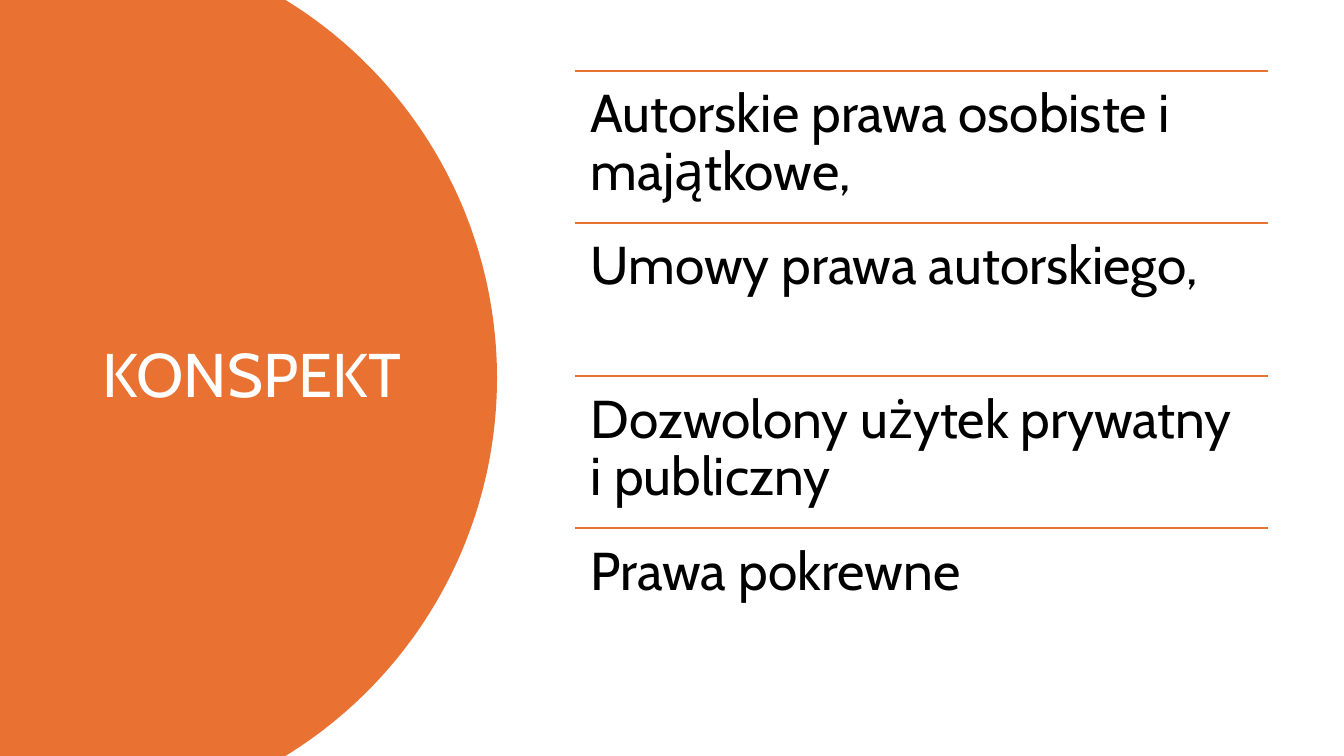
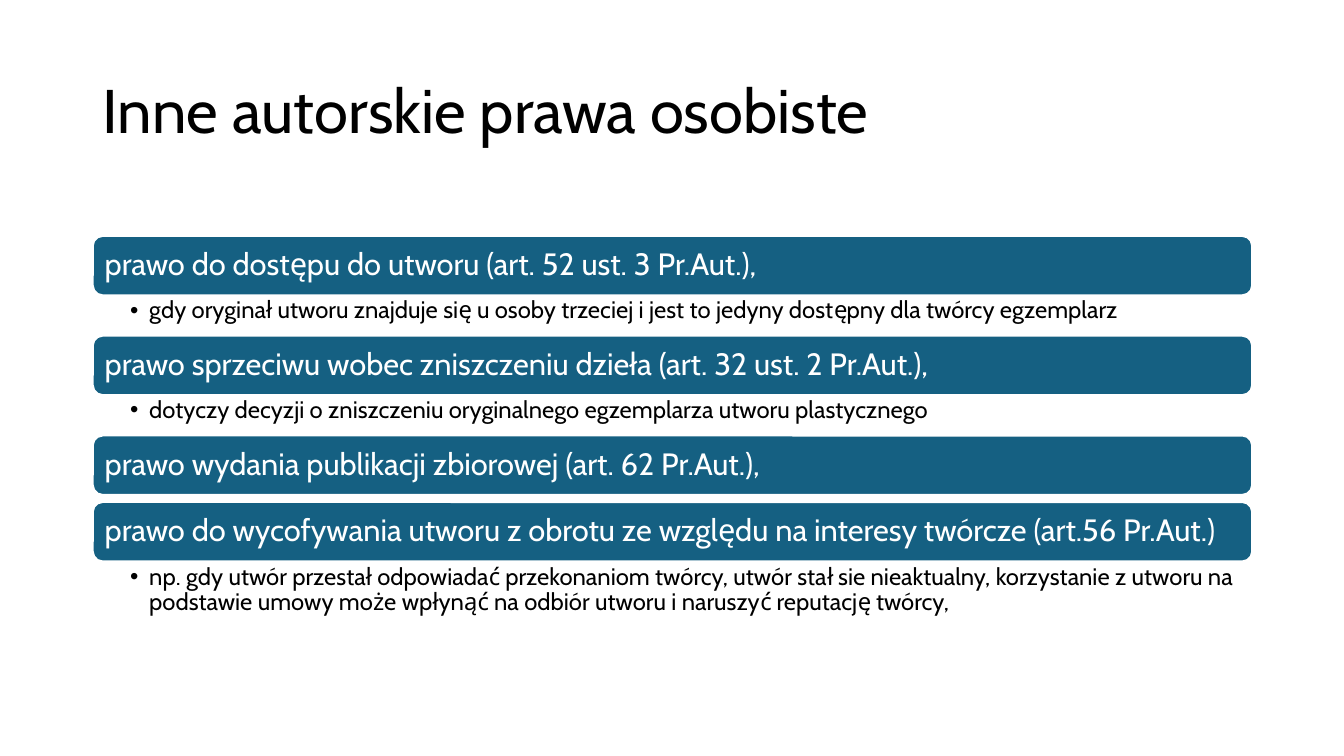
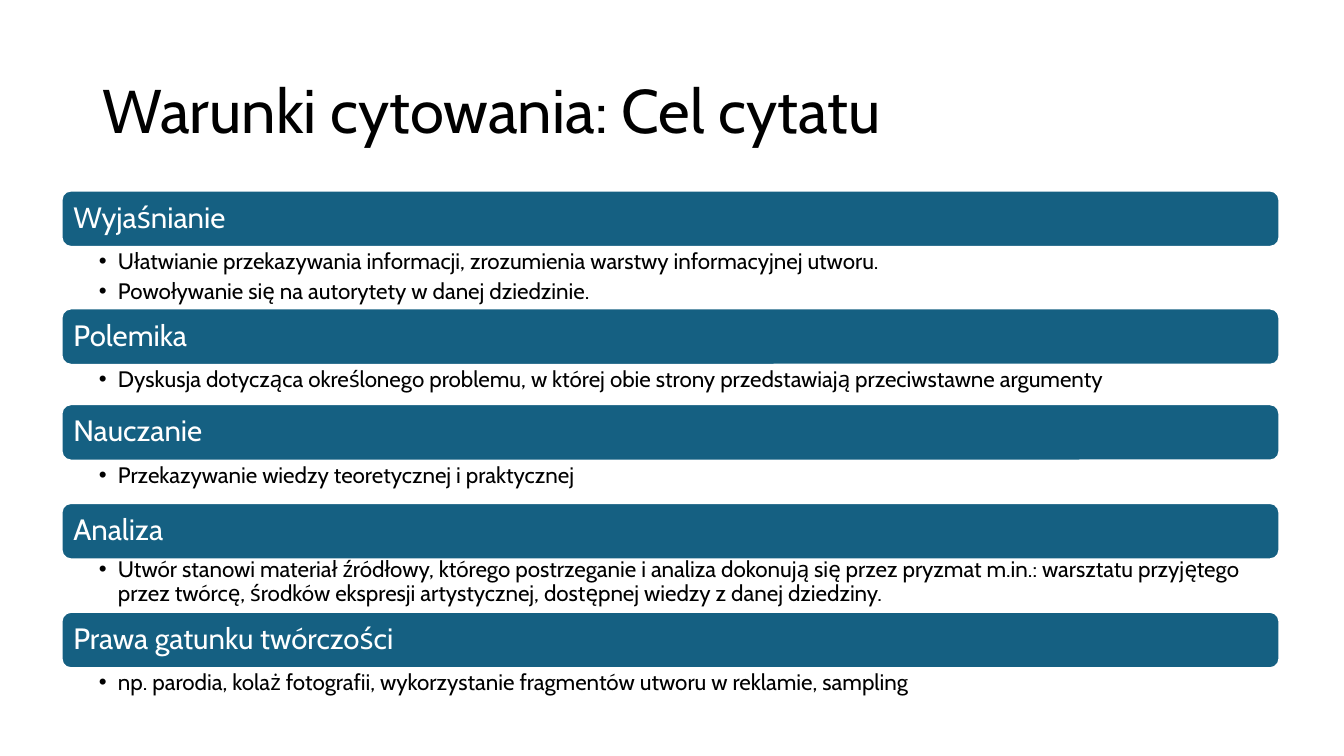
"""Builds three slides on copyright: an outline and two lists of rights."""
import math

from lxml import etree
from pptx import Presentation
from pptx import util as u
from pptx.dml.color import RGBColor
from pptx.enum import shapes, text
from pptx.oxml.ns import qn

PX = 9144
FONT = "Cabin"
ORANGE, BLUE, WHITE, BLACK = "E97132", "156082", "FFFFFF", "000000"
TITLE_BOX = (92, 40, 1150, 145)
TITLE_SIZE = 44
LINE_WIDTH = u.Pt(1.5)

OUTLINE = [
    "Autorskie prawa osobiste i majątkowe,",
    "Umowy prawa autorskiego,",
    "Dozwolony użytek prywatny i publiczny",
    "Prawa pokrewne",
]
PERSONAL_RIGHTS = [
    ("prawo do dostępu do utworu (art. 52 ust. 3 Pr.Aut.),",
     ["gdy oryginał utworu znajduje się u osoby trzeciej i jest to jedyny dostępny "
      "dla twórcy egzemplarz"], 99, 0),
    ("prawo sprzeciwu wobec zniszczeniu dzieła (art. 32 ust. 2 Pr.Aut.),",
     ["dotyczy decyzji o zniszczeniu oryginalnego egzemplarza utworu plastycznego"], 99, 0),
    ("prawo wydania publikacji zbiorowej (art. 62 Pr.Aut.),", [], 66, 0),
    ("prawo do wycofywania utworu z obrotu ze względu na interesy twórcze (art.56 Pr.Aut.)",
     ["np. gdy utwór przestał odpowiadać przekonaniom twórcy, utwór stał sie nieaktualny, "
      "korzystanie z utworu na podstawie umowy może wpłynąć na odbiór utworu i naruszyć "
      "reputację twórcy,"], 144, 0),
]
QUOTATION_AIMS = [
    ("Wyjaśnianie",
     ["Ułatwianie przekazywania informacji, zrozumienia warstwy informacyjnej utworu.",
      "Powoływanie się na autorytety w danej dziedzinie."], 117, 0),
    ("Polemika",
     ["Dyskusja dotycząca określonego problemu, w której obie strony przedstawiają "
      "przeciwstawne argumenty"], 95, 0),
    ("Nauczanie", ["Przekazywanie wiedzy teoretycznej i praktycznej"], 98, 0),
    ("Analiza",
     ["Utwór stanowi materiał źródłowy, którego postrzeganie i analiza dokonują się przez "
      "pryzmat m.in.: warsztatu przyjętego przez twórcę, środków ekspresji artystycznej, "
      "dostępnej wiedzy z danej dziedziny."], 108, 4),
    ("Prawa gatunku twórczości",
     ["np. parodia, kolaż fotografii, wykorzystanie fragmentów utworu w reklamie, sampling"],
     95, 0),
]


def px(*lengths):
    """Turn px lengths into EMU."""
    return [u.Emu(length * PX) for length in lengths]


def color(value):
    """Turn a hex string into a colour."""
    return RGBColor.from_string(value)


def set_all(target, values):
    """Set each attribute in a dict of format values."""
    for name, value in values.items():
        setattr(target, name, value)


def paint(shape, fill, line=None):
    """Give a shape a flat fill and an optional outline."""
    shape.shadow.inherit = False
    shape.fill.solid()
    shape.fill.fore_color.rgb = color(fill)
    if line:
        shape.line.color.rgb = color(line)
        shape.line.width = LINE_WIDTH
    else:
        shape.line.fill.background()


def write(shape, lines, size, ink=BLACK, insets=(10, 5, 10, 5), middle=False, bullet=False):
    """Fill a shape with left-aligned paragraphs, bulleted if asked."""
    frame = shape.text_frame
    left, top, right, bottom = px(*insets)
    set_all(frame, {
        "word_wrap": True,
        "margin_left": left, "margin_top": top,
        "margin_right": right, "margin_bottom": bottom,
        "vertical_anchor": text.MSO_ANCHOR.MIDDLE if middle else text.MSO_ANCHOR.TOP,
    })
    for index, line in enumerate(lines):
        paragraph = frame.add_paragraph() if index else frame.paragraphs[0]
        set_all(paragraph, {"alignment": text.PP_ALIGN.LEFT, "line_spacing": 0.9,
                            "space_before": u.Pt(4 if index else 0)})
        if bullet:
            properties = paragraph._p.get_or_add_pPr()
            properties.set("marL", str(19 * PX))
            properties.set("indent", str(-19 * PX))
            etree.SubElement(properties, qn("a:buFont")).set("typeface", "Arial")
            etree.SubElement(properties, qn("a:buChar")).set("char", "•")
        run = paragraph.add_run()
        run.text = line
        set_all(run.font, {"name": FONT, "size": u.Pt(size)})
        run.font.color.rgb = color(ink)


def add_text(slide, box, lines, size, **style):
    """Add a text box in the given box."""
    write(slide.shapes.add_textbox(*px(*box)), lines, size, **style)


def add_title(slide, title, box=TITLE_BOX, ink=BLACK):
    """Add the slide title."""
    add_text(slide, box, [title], TITLE_SIZE, ink=ink, middle=True)


def add_round_panel(slide, box, radius):
    """Add a panel whose right side is a circular arc."""
    left, top, width, height = box
    center_x, center_y = left + width - radius, top + height / 2
    limit = math.asin(height / 2 / radius)
    steps = 120
    angles = [limit * (2 * step / steps - 1) for step in range(steps + 1)]
    arc = [((center_x + radius * math.cos(angle)) * PX,
            (center_y + radius * math.sin(angle)) * PX) for angle in angles]
    builder = slide.shapes.build_freeform(left * PX, top * PX)
    builder.add_line_segments(arc + [(left * PX, (top + height) * PX)], close=True)
    paint(builder.convert_to_shape(), ORANGE)


def add_ruled_list(slide, box, items):
    """Add equal rows, each under a rule."""
    left, top, width, height = box
    for index, item in enumerate(items):
        y = top + height * index // len(items)
        rule = slide.shapes.add_connector(
            shapes.MSO_CONNECTOR.STRAIGHT, *px(left, y, left + width, y))
        rule.line.color.rgb = color(ORANGE)
        rule.line.width = LINE_WIDTH
        etree.SubElement(rule._element.spPr, qn("a:effectLst"))
        add_text(slide, (left, y, width, height // len(items)), [item], 38,
                 insets=(16, 16, 16, 16))


def add_bar_list(slide, box, rows, bar_height, bar_size, detail_size):
    """Stack heading bars with bullets; a row has a step height and a bullet lift."""
    left, top, width = box
    for heading, details, step, lift in rows:
        bar = slide.shapes.add_shape(
            shapes.MSO_SHAPE.ROUNDED_RECTANGLE, *px(left, top, width, bar_height))
        paint(bar, BLUE, WHITE)
        write(bar, [heading], bar_size, ink=WHITE, insets=(9, 9, 9, 9), middle=True)
        if details:
            detail_box = (left, top + bar_height - lift, width, step - bar_height + lift)
            add_text(slide, detail_box, details, detail_size,
                     insets=(37, 3, 16, 3), bullet=True)
        top += step


def outline_slide(slide):
    """Build the outline slide."""
    add_round_panel(slide, (0, 0, 493, 750), 440)
    add_title(slide, "KONSPEKT", (92, 70, 323, 609), WHITE)
    add_ruled_list(slide, (570, 70, 688, 606), OUTLINE)


def bar_slide(slide, title, box, rows, **sizes):
    """Build a slide with a title and a list of bars."""
    add_title(slide, title)
    add_bar_list(slide, box, rows, **sizes)


def main():
    """Build and save the presentation."""
    presentation = Presentation()
    presentation.slide_width, presentation.slide_height = u.Inches(13.33), u.Inches(7.5)
    blank = presentation.slide_layouts[6]
    outline, rights, aims = [presentation.slides.add_slide(blank) for _ in range(3)]
    outline_slide(outline)
    bar_slide(rights, "Inne autorskie prawa osobiste", (92, 234, 1150), PERSONAL_RIGHTS,
              bar_height=59, bar_size=22, detail_size=17)
    bar_slide(aims, "Warunki cytowania: Cel cytatu", (61, 189, 1208), QUOTATION_AIMS,
              bar_height=56, bar_size=21, detail_size=16)
    presentation.save("out.pptx")


if __name__ == "__main__":
    main()
